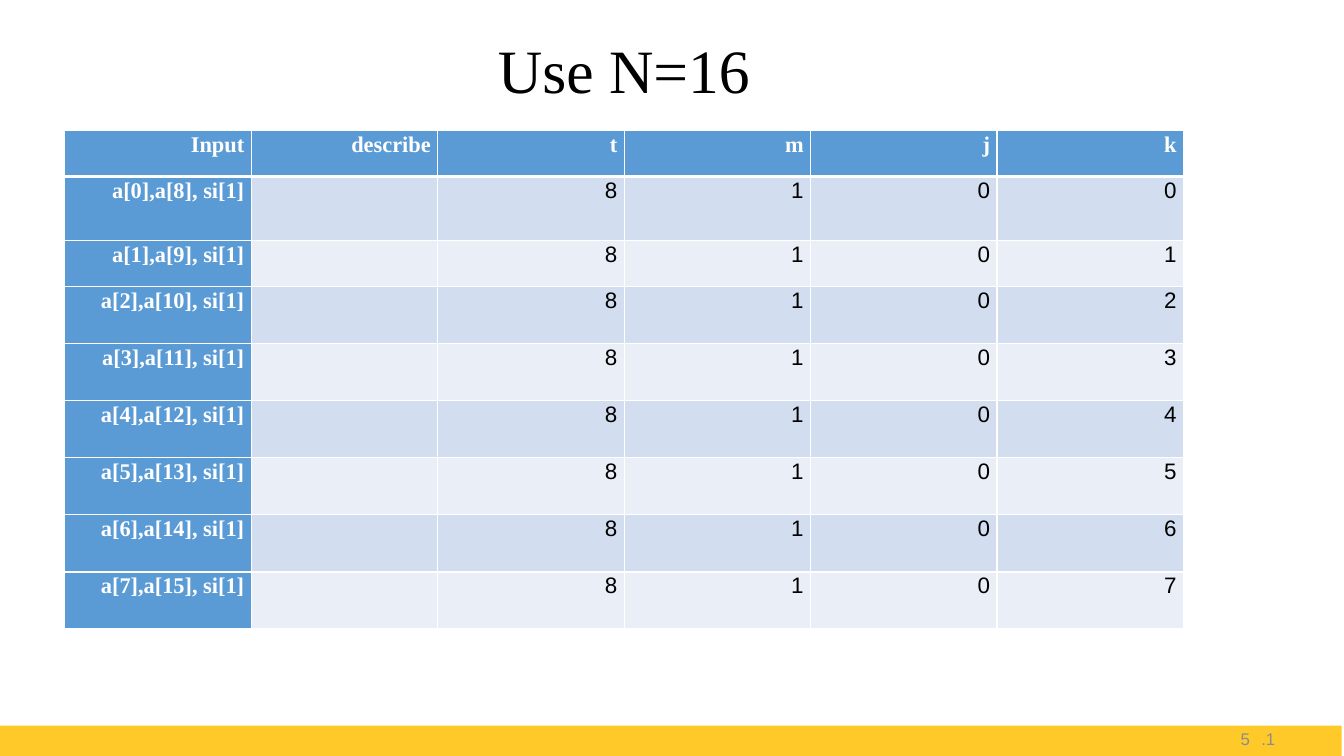
"""Build a slide with the table of steps for N=16."""
from lxml import etree
from pptx import Presentation
from pptx.dml.color import RGBColor
from pptx.enum.shapes import MSO_SHAPE
from pptx.enum.text import MSO_ANCHOR, PP_ALIGN
from pptx.oxml.ns import qn
from pptx.util import Pt

RECT = MSO_SHAPE.RECTANGLE
MIDDLE = MSO_ANCHOR.MIDDLE
TOP = MSO_ANCHOR.TOP
CENTER = PP_ALIGN.CENTER
RIGHT = PP_ALIGN.RIGHT

WHITE = RGBColor(0xFF, 0xFF, 0xFF)
BLACK = RGBColor(0, 0, 0)
GRAY = RGBColor(0x8C, 0x8C, 0x8C)
GOLD = RGBColor(0xFF, 0xCA, 0x29)
BLUE = RGBColor(0x5B, 0x9B, 0xD5)
BANDS = (RGBColor(0xD2, 0xDE, 0xEF), RGBColor(0xEA, 0xEF, 0xF7))

FONT = "Times New Roman"
DIGITS = "Arial"
HEADS = ["Input", "describe", "t", "m", "j", "k"]
HALF = 8
WIDTH = 133.2
HEIGHTS = [32.8, 45.8, 32.8] + [40.8] * 6


def style(para, size, color, align, spacing=1.0, bold=False):
    """Format a right-to-left paragraph."""
    para.alignment = align
    para.line_spacing = spacing
    props = para._p.get_or_add_pPr()
    props.set("rtl", "1")
    font = para.font
    font.size, font.bold, font.name = Pt(size), bold, FONT
    font.color.rgb = color
    base = props.find(qn("a:defRPr"))
    etree.SubElement(base, qn("a:cs")).set("typeface", DIGITS)


def add_bar(slide):
    """Draw the strip along the bottom edge."""
    bar = slide.shapes.add_shape(RECT, 0, Pt(518.4), Pt(958.3), Pt(21.6))
    bar.shadow.inherit = False
    bar.fill.solid()
    bar.fill.fore_color.rgb = GOLD
    bar.line.fill.background()


def add_title(slide, text):
    """Place and fill the title."""
    title = slide.shapes.title
    title.left, title.top = Pt(31.7), 0
    title.width, title.height = Pt(828), Pt(104.4)
    frame = title.text_frame
    frame.text = text
    frame.vertical_anchor = MIDDLE
    style(frame.paragraphs[0], 44, BLACK, CENTER, 0.9)


def add_number(slide, text):
    """Add the numbered page mark."""
    box = slide.shapes.add_textbox(Pt(702), Pt(513.4), Pt(216), Pt(28.8))
    frame = box.text_frame
    frame.word_wrap = True
    frame.vertical_anchor = MIDDLE
    para = frame.paragraphs[0]
    para.text = text
    props = para._p.get_or_add_pPr()
    props.set("marL", str(Pt(18)))
    props.set("indent", str(Pt(-18)))
    mark = etree.SubElement(props, qn("a:buAutoNum"))
    mark.set("type", "arabicPeriod")
    style(para, 12, GRAY, RIGHT)


def add_edge(cell, side, width):
    """Draw one white border of a cell."""
    line = etree.SubElement(cell._tc.get_or_add_tcPr(), qn("a:ln" + side))
    line.set("w", str(Pt(width)))
    fill = etree.SubElement(line, qn("a:solidFill"))
    etree.SubElement(fill, qn("a:srgbClr")).set("val", str(WHITE))


def fill_cell(cell, text, row, col):
    """Write and format one table cell."""
    head = row == 0 or col == 0
    cell.margin_left = cell.margin_right = Pt(5)
    cell.margin_top = cell.margin_bottom = 0
    cell.vertical_anchor = TOP
    for side in "LRTB":
        thick = (side == "B" and row == 0) or (side == "T" and row == 1)
        add_edge(cell, side, 3 if thick else 1)
    cell.fill.solid()
    cell.fill.fore_color.rgb = BLUE if head else BANDS[(row - 1) % 2]
    cell.text = text
    para = cell.text_frame.paragraphs[0]
    style(para, 16, WHITE if head else BLACK, RIGHT, 1.07, head)


def add_steps(slide):
    """Add the table of steps."""
    data = [HEADS] + [
        [f"a[{k}],a[{k + HALF}], si[1]", "", str(HALF), "1", "0", str(k)]
        for k in range(HALF)
    ]
    table = slide.shapes.add_table(
        len(data), len(HEADS), Pt(46.3), Pt(93.2),
        Pt(WIDTH * len(HEADS)), Pt(sum(HEIGHTS))).table
    table.first_col = True
    table.horz_banding = False
    for col in table.columns:
        col.width = Pt(WIDTH)
    for row, height in zip(table.rows, HEIGHTS):
        row.height = Pt(height)
    for i, texts in enumerate(data):
        for j, text in enumerate(texts):
            fill_cell(table.cell(i, j), text, i, j)


def main():
    """Build and save the slide."""
    deck = Presentation()
    deck.slide_width, deck.slide_height = Pt(960), Pt(540)
    slide = deck.slides.add_slide(deck.slide_layouts[5])
    add_bar(slide)
    add_title(slide, "Use N=16")
    add_number(slide, "5")
    add_steps(slide)
    deck.save("out.pptx")


if __name__ == "__main__":
    main()
